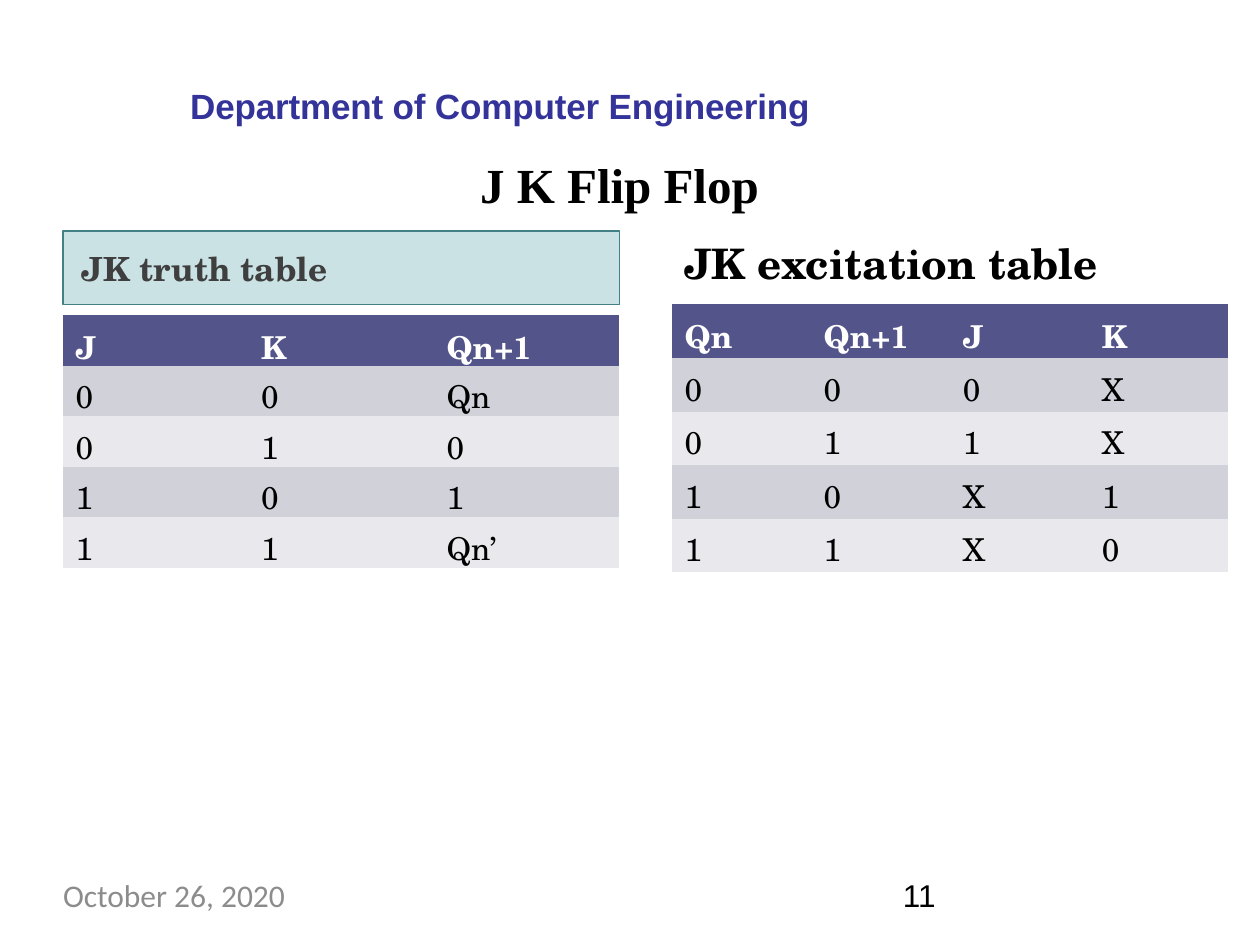
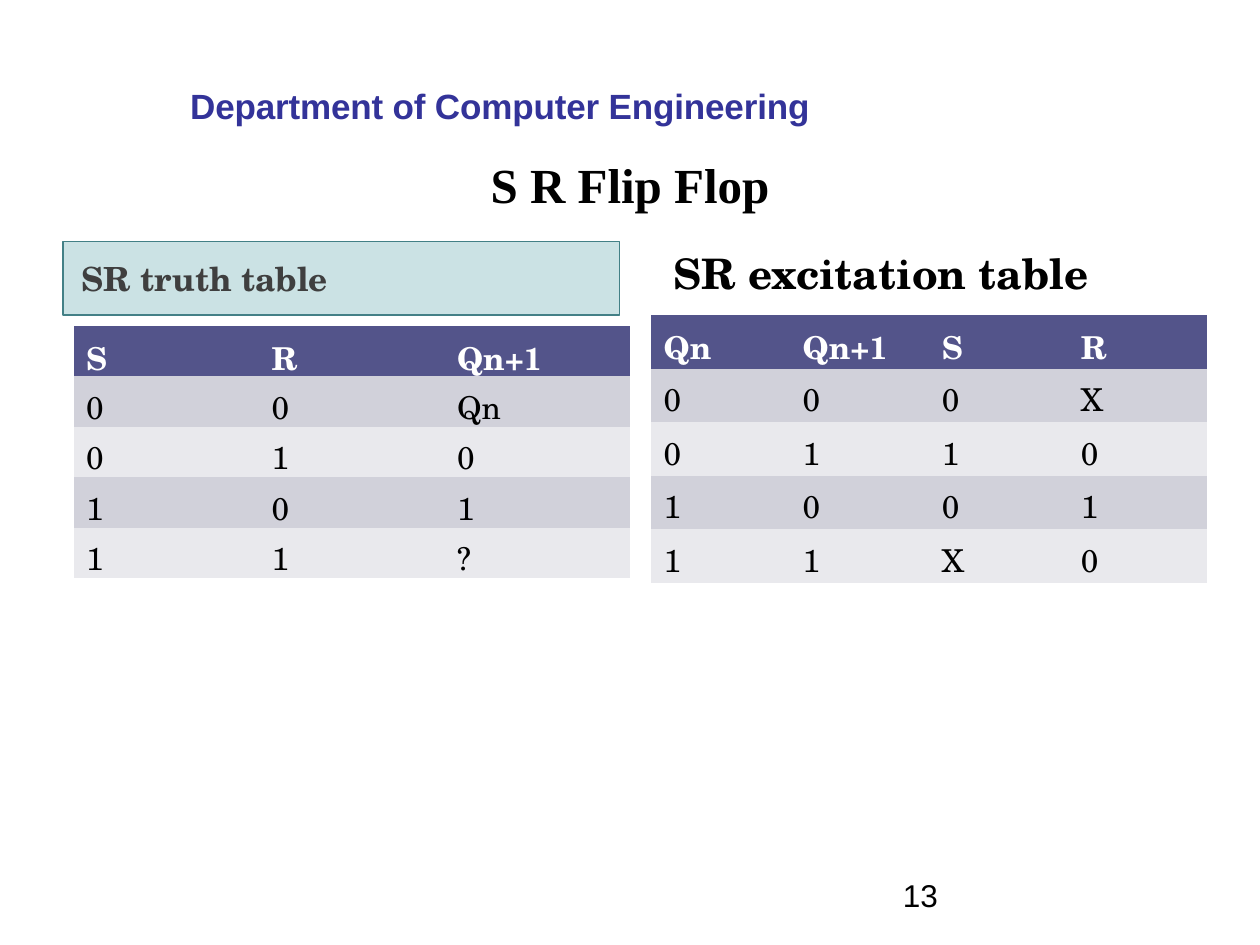
from dataclasses import dataclass
from typing import Optional

from pptx import Presentation
from pptx import util as u
from pptx.dml.color import RGBColor
from pptx.enum import shapes, text
from pptx.oxml import ns, xmlchemy
from pptx.oxml import parse_xml


@dataclass(frozen=True)
class Style:
    font: str
    size: float
    color: str
    bold: bool = False
    tracking: int = 0


@dataclass(frozen=True)
class Theme:
    department: Style = Style("Arial", 20, "333399", True, -10)
    title: Style = Style("Times New Roman", 28, "000000", True)
    truth: Style = Style("TeX Gyre Schola", 19, "3F3F3F", True)
    excitation: Style = Style("TeX Gyre Schola", 24, "000000", True)
    header: Style = Style("TeX Gyre Schola", 18, "FFFFFF", True)
    body: Style = Style("TeX Gyre Schola", 18, "000000")
    date: Style = Style("Calibri", 18, "8C8C8C")
    number: Style = Style("Arial", 18, "000000")
    header_fill: str = "53548A"
    bands: tuple[str, str] = ("D1D1DA", "E9E9ED")
    band_fill: str = "328E97"
    band_alpha: int = 25000
    band_line: str = "438086"
    no_grid: str = "{2D5ABB26-0587-4C30-8999-92F81FD0307C}"


@dataclass(frozen=True)
class Area:
    column: float
    row: float
    columns: float
    rows: float


@dataclass(frozen=True)
class TableSpec:
    column: float
    row: float
    row_height: float
    lines: tuple[str, ...]


@dataclass(frozen=True)
class FlipFlop:
    inputs: str
    title_column: float
    label_row: float
    excitation_column: float
    truth: TableSpec
    excitation: TableSpec
    number: str
    date: Optional[str] = None


THEME = Theme()
COLUMNS, ROWS = 120, 90
TABLE_COLUMNS = 53

deck = Presentation()
deck.slide_width, deck.slide_height = u.Inches(10), u.Inches(7.5)


def across(columns: float) -> int:
    return round(deck.slide_width * columns / COLUMNS)


def down(rows: float) -> int:
    return round(deck.slide_height * rows / ROWS)


def place(area: Area) -> tuple[int, int, int, int]:
    return across(area.column), down(area.row), across(area.columns), down(area.rows)


def write(para, words: str, style: Style) -> None:
    para.text = words
    for span in para.runs:
        span.font.name = style.font
        span.font.size = u.Pt(style.size)
        span.font.bold = style.bold
        span.font.color.rgb = RGBColor.from_string(style.color)
        if style.tracking:
            span.font._element.set("spc", str(style.tracking))


def set_margins(target, left: float, top: float, right: float, bottom: float) -> None:
    target.margin_left, target.margin_top = u.Inches(left), u.Inches(top)
    target.margin_right, target.margin_bottom = u.Inches(right), u.Inches(bottom)


def add_label(page, area: Area, words: str, style: Style, inset: bool = False):
    frame = page.shapes.add_textbox(*place(area)).text_frame
    frame.word_wrap = True
    if not inset:
        set_margins(frame, 0, 0, 0, 0)
    write(frame.paragraphs[0], words, style)
    return frame


def add_title(page, column: float, words: str) -> None:
    frame = add_label(page, Area(column, 14, 110, 7), words, THEME.title, inset=True)
    frame.vertical_anchor = text.MSO_ANCHOR.MIDDLE
    frame.paragraphs[0].alignment = text.PP_ALIGN.CENTER


def add_band(page, row: float, words: str) -> None:
    area = Area(6, row, TABLE_COLUMNS, 7)
    box = page.shapes.add_shape(shapes.MSO_SHAPE.RECTANGLE, *place(area))
    box.shadow.inherit = False
    box.fill.solid()
    box.fill.fore_color.rgb = RGBColor.from_string(THEME.band_fill)
    color = box._element.spPr.find(".//" + ns.qn("a:srgbClr"))
    color.append(parse_xml(f'<a:alpha {ns.nsdecls("a")} val="{THEME.band_alpha}"/>'))
    box.line.color.rgb = RGBColor.from_string(THEME.band_line)
    box.line.width = u.Pt(1)
    frame = box.text_frame
    frame.word_wrap = True
    frame.vertical_anchor = text.MSO_ANCHOR.MIDDLE
    frame.margin_left = u.Inches(0.15)
    para = frame.paragraphs[0]
    para.alignment = text.PP_ALIGN.LEFT
    para.space_before = u.Pt(3)
    write(para, words, THEME.truth)


def add_grid(page, spec: TableSpec) -> None:
    lines = [line.split() for line in spec.lines]
    area = Area(spec.column, spec.row, TABLE_COLUMNS, spec.row_height * len(lines))
    table = page.shapes.add_table(len(lines), len(lines[0]), *place(area)).table
    table._tbl.tblPr.find(ns.qn("a:tableStyleId")).text = THEME.no_grid
    table.first_row = table.horz_banding = False
    for index, line in enumerate(lines):
        style = THEME.body if index else THEME.header
        fill = THEME.bands[(index - 1) % 2] if index else THEME.header_fill
        for cell, words in zip(table.rows[index].cells, line):
            set_margins(cell, 0.1, 0.06, 0.1, 0.05)
            cell.fill.solid()
            cell.fill.fore_color.rgb = RGBColor.from_string(fill)
            para = cell.text_frame.paragraphs[0]
            para.line_spacing = 0.97
            write(para, words, style)


def add_page(topic: FlipFlop) -> None:
    page = deck.slides.add_slide(deck.slide_layouts[6])
    add_title(page, topic.title_column, " ".join(topic.inputs) + " Flip Flop")
    add_band(page, topic.label_row, f"{topic.inputs} truth table")
    add_grid(page, topic.truth)
    add_grid(page, topic.excitation)
    label_area = Area(topic.excitation_column, topic.label_row, 51, 10.8)
    add_label(page, label_area, f"{topic.inputs} excitation table", THEME.excitation, inset=True)
    if topic.date:
        add_label(page, Area(6, 83.4, 28, 4.8), topic.date, THEME.date)
    add_label(page, Area(86, 83.4, 28, 4.8), topic.number, THEME.number)
    frame = add_label(page, Area(18, 7.9, 60, 4.3), "Department of Computer Engineering", THEME.department)
    set_margins(frame, 0.01, 0.01, 0, 0)
    frame.paragraphs[0].space_before = u.Pt(1)


TOPICS = (
    FlipFlop(
        "JK", 4, 22, 64,
        TableSpec(6, 30, 4.8, ("J K Qn+1", "0 0 Qn", "0 1 0", "1 0 1", "1 1 Qn’")),
        TableSpec(64, 29, 5.1, ("Qn Qn+1 J K", "0 0 0 X", "0 1 1 X", "1 0 X 1", "1 1 X 0")),
        "11", "October 26, 2020",
    ),
    FlipFlop(
        "SR", 5, 23, 63,
        TableSpec(7, 31, 4.8, ("S R Qn+1", "0 0 Qn", "0 1 0", "1 0 1", "1 1 ?")),
        TableSpec(62, 30, 5.1, ("Qn Qn+1 S R", "0 0 0 X", "0 1 1 0", "1 0 0 1", "1 1 X 0")),
        "13",
    ),
)

for topic in TOPICS:
    add_page(topic)

deck.save("out.pptx")
